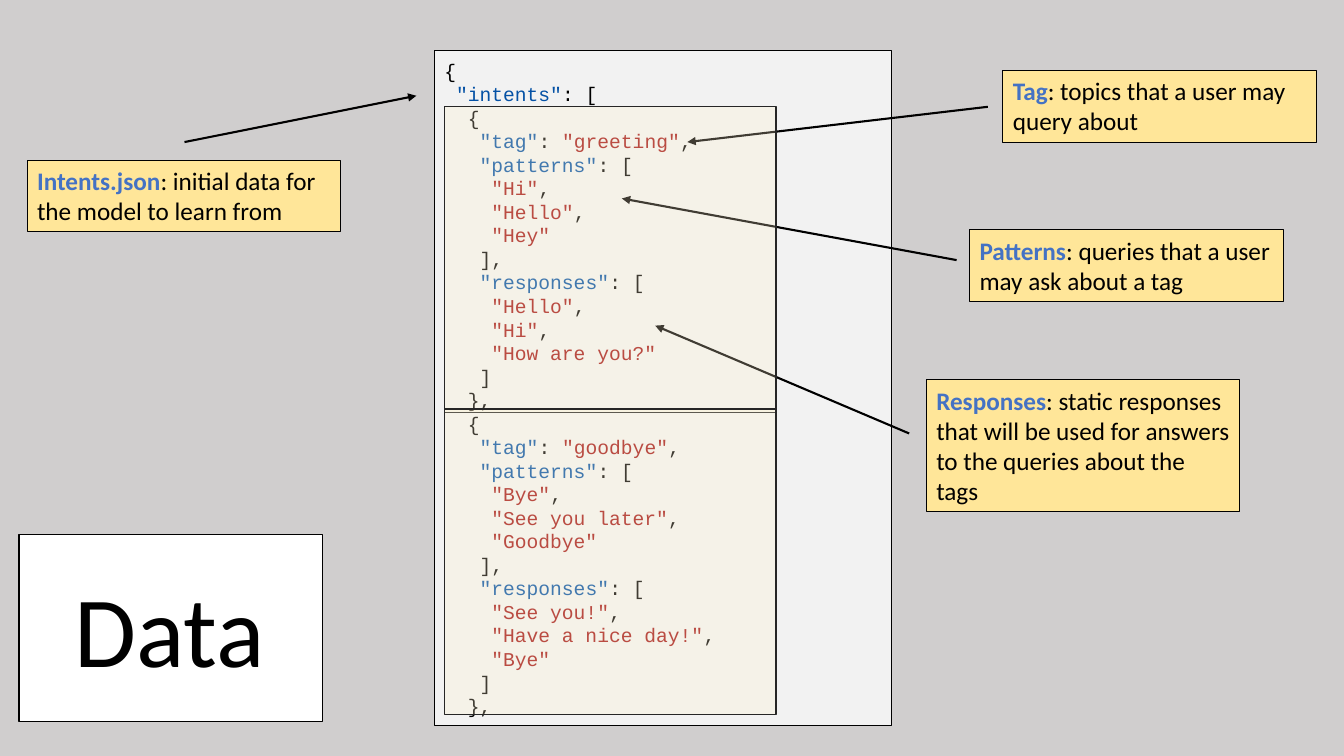
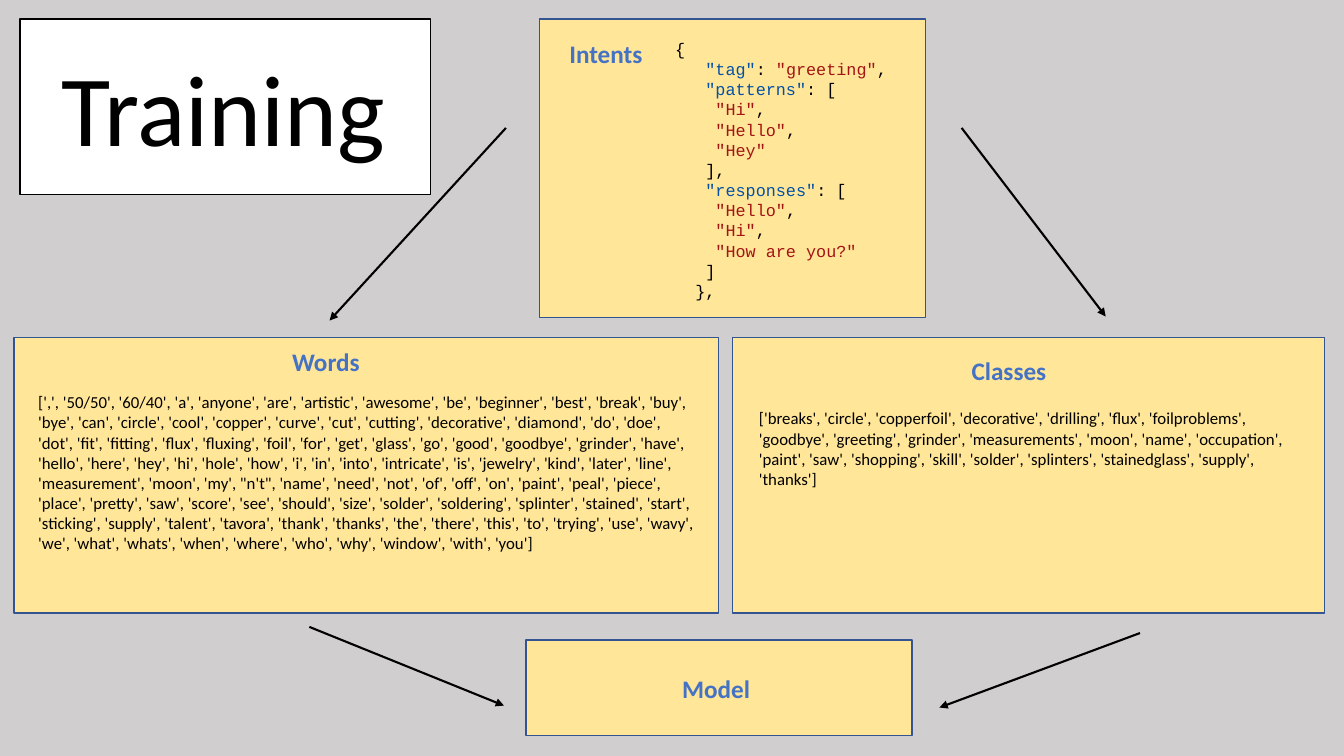
from dataclasses import dataclass

from lxml import etree
from pptx import Presentation
from pptx.dml.color import RGBColor
from pptx.enum import shapes, text
from pptx.oxml import ns
from pptx.util import Pt

BLACK = RGBColor(0x00, 0x00, 0x00)
WHITE = RGBColor(0xFF, 0xFF, 0xFF)
BACKDROP = RGBColor(0xD0, 0xCE, 0xCE)
PAPER = RGBColor(0xF2, 0xF2, 0xF2)
SAND = RGBColor(0xFF, 0xE6, 0x99)
CREAM = RGBColor(0xFF, 0xF2, 0xCC)
CHARCOAL = RGBColor(0x26, 0x26, 0x26)
NAVY = RGBColor(0x32, 0x54, 0x91)
HEADING_BLUE = RGBColor(0x44, 0x72, 0xC4)
KEY_BLUE = RGBColor(0x04, 0x51, 0xA5)
STRING_RED = RGBColor(0xA3, 0x15, 0x15)

TITLE = {"name": "Calibri", "size": Pt(72), "bold": False}
HEADING = {"name": "Calibri", "size": Pt(18), "bold": True}
BODY = {"name": "Calibri", "size": Pt(18), "bold": False}
SMALL = {"name": "Calibri", "size": Pt(12), "bold": False}
CODE_CHAR_WIDTH = 0.6
CODE_LINE_HEIGHT = 1.2
CALLOUT_WIDTH = 223.9


@dataclass(frozen=True)
class Frame:
    left: float
    top: float
    width: float
    height: float

    def lengths(self) -> tuple:
        return Pt(self.left), Pt(self.top), Pt(self.width), Pt(self.height)


@dataclass(frozen=True)
class Arrow:
    x1: float
    y1: float
    x2: float
    y2: float


@dataclass(frozen=True)
class Callout:
    term: str
    meaning: str
    frame: Frame
    arrow: Arrow


@dataclass(frozen=True)
class Label:
    words: str
    frame: Frame


@dataclass(frozen=True)
class CodeLine:
    depth: int
    code: str


@dataclass(frozen=True)
class Intent:
    tag: str
    patterns: list
    responses: list

    def code_lines(self) -> list:
        lines = [CodeLine(2, "{"), CodeLine(3, f'"tag": "{self.tag}",')]
        for key, values, close in (("patterns", self.patterns, "],"),
                                   ("responses", self.responses, "]")):
            lines.append(CodeLine(3, f'"{key}": ['))
            lines += [CodeLine(4, f'"{value}",') for value in values[:-1]]
            lines += [CodeLine(4, f'"{values[-1]}"'), CodeLine(3, close)]
        return lines + [CodeLine(2, "},")]


GREETING = Intent("greeting", ["Hi", "Hello", "Hey"], ["Hello", "Hi", "How are you?"])
GOODBYE = Intent("goodbye", ["Bye", "See you later", "Goodbye"],
                 ["See you!", "Have a nice day!", "Bye"])

CALLOUTS = [
    Callout("Tag", ": topics that a user may query about",
            Frame(716.4, 50.4, CALLOUT_WIDTH, 51.1), Arrow(705.6, 76.3, 491, 101.5)),
    Callout("Patterns", ": queries that a user may ask about a tag",
            Frame(692.6, 164.2, CALLOUT_WIDTH, 51.1), Arrow(683.3, 185.8, 444.2, 141.8)),
    Callout("Responses",
            ": static responses that will be used for answers to the queries about the tags",
            Frame(661.7, 271.4, CALLOUT_WIDTH, 94.3), Arrow(649.4, 309.6, 468, 232.6)),
    Callout("Intents.json", ": initial data for the model to learn from",
            Frame(19.4, 114.5, CALLOUT_WIDTH, 51.1), Arrow(131.8, 101.5, 297.4, 68.4)),
]

STAGE_PANELS = [
    Frame(375.8, 457.2, 275.8, 68.4),
    Frame(385.2, 13.7, 275.8, 213.1),
    Frame(523.4, 241.2, 422.6, 196.6),
    Frame(10.1, 241.2, 503.3, 196.6),
]
STAGE_HEADINGS = [
    Label("Intents", Frame(399.6, 23.8, 67, 28.8)),
    Label("Words", Frame(201.6, 244.1, 63.4, 28.8)),
    Label("Classes", Frame(686.9, 250.6, 68.4, 28.8)),
    Label("Model", Frame(480.2, 477.4, 63.4, 28.8)),
]
STAGE_ARROWS = [
    Arrow(361.4, 91.4, 235.4, 229),
    Arrow(686.9, 91.4, 789.8, 226.1),
    Arrow(221, 447.8, 360, 504),
    Arrow(814.3, 452.2, 671, 505.4),
]

WORDS = """
, 50/50 60/40 a anyone are artistic awesome be beginner best break buy bye can circle cool
copper curve cut cutting decorative diamond do doe dot fit fitting flux fluxing foil for get
glass go good goodbye grinder have hello here hey hi hole how i in into intricate is jewelry
kind later line measurement moon my n't name need not of off on paint peal piece place pretty
saw score see should size solder soldering splinter stained start sticking supply talent tavora
thank thanks the there this to trying use wavy we what whats when where who why window with you
""".split()
CLASSES = """
breaks circle copperfoil decorative drilling flux foilproblems goodbye greeting grinder
measurements moon name occupation paint saw shopping skill solder splinters stainedglass
supply thanks
""".split()
WORD_LISTS = [
    Label(str(WORDS), Frame(20.2, 276.5, 483.8, 123.8)),
    Label(str(CLASSES), Frame(535, 288, 402.5, 65.5)),
]


def add_panel(slide, frame: Frame, fill: RGBColor, line: RGBColor, weight: float = 1):
    panel = slide.shapes.add_shape(shapes.MSO_SHAPE.RECTANGLE, *frame.lengths())
    panel.shadow.inherit = False
    panel.fill.solid()
    panel.fill.fore_color.rgb = fill
    panel.line.color.rgb = line
    panel.line.width = Pt(weight)
    return panel


def add_highlight(slide, frame: Frame) -> None:
    """Lay a see-through panel over part of the code."""
    panel = add_panel(slide, frame, CREAM, CHARCOAL)
    color = panel.fill._xPr.find(ns.qn("a:solidFill"))[0]
    etree.SubElement(color, ns.qn("a:alpha")).set("val", "25000")


def add_arrow(slide, arrow: Arrow) -> None:
    connector = slide.shapes.add_connector(
        shapes.MSO_CONNECTOR.STRAIGHT,
        Pt(arrow.x1), Pt(arrow.y1), Pt(arrow.x2), Pt(arrow.y2))
    connector.line.color.rgb = BLACK
    connector.line.width = Pt(1.5)
    etree.SubElement(connector.line._get_or_add_ln(), ns.qn("a:tailEnd")).set("type", "triangle")
    etree.SubElement(connector._element.spPr, ns.qn("a:effectLst"))


def add_run(paragraph, words: str, style: dict, color: RGBColor) -> None:
    run = paragraph.add_run()
    run.text = words
    for attribute, value in style.items():
        setattr(run.font, attribute, value)
    run.font.color.rgb = color


def add_label(slide, label: Label, style: dict, color: RGBColor, wrap: bool = False) -> None:
    body = slide.shapes.add_textbox(*label.frame.lengths()).text_frame
    body.word_wrap = wrap
    add_run(body.paragraphs[0], label.words, style, color)


def add_title(slide, panel: Frame, title: Label) -> None:
    add_panel(slide, panel, WHITE, BLACK)
    add_label(slide, title, TITLE, BLACK)


def add_callout(slide, callout: Callout) -> None:
    add_arrow(slide, callout.arrow)
    body = add_panel(slide, callout.frame, SAND, BLACK, 0.75).text_frame
    body.word_wrap = True
    body.vertical_anchor = text.MSO_ANCHOR.TOP
    paragraph = body.paragraphs[0]
    paragraph.alignment = text.PP_ALIGN.LEFT
    add_run(paragraph, callout.term, HEADING, HEADING_BLUE)
    add_run(paragraph, callout.meaning, BODY, BLACK)


def write_code(body, lines: list, size: float) -> None:
    """Write JSON lines, indented one character per depth, with keys and strings coloured."""
    style = {"name": "Courier New", "size": Pt(size), "bold": False}
    body.word_wrap = True
    body.vertical_anchor = text.MSO_ANCHOR.MIDDLE
    for number, line in enumerate(lines):
        paragraph = body.add_paragraph() if number else body.paragraphs[0]
        paragraph.alignment = text.PP_ALIGN.LEFT
        paragraph.line_spacing = Pt(size * CODE_LINE_HEIGHT)
        indent = Pt(line.depth * size * CODE_CHAR_WIDTH)
        paragraph._p.get_or_add_pPr().set("marL", str(int(indent)))
        parts = line.code.split('"')
        for place, part in enumerate(parts):
            if place % 2:
                is_key = parts[place + 1].startswith(":")
                add_run(paragraph, f'"{part}"', style, KEY_BLUE if is_key else STRING_RED)
            elif part:
                add_run(paragraph, part, style, BLACK)


def build_data_slide(slide) -> None:
    add_title(slide, Frame(13.7, 381.6, 216.7, 133.9),
              Label("Data", Frame(46.1, 401, 151.9, 94.3)))
    listing = add_panel(slide, Frame(310.3, 36, 326.2, 482.4), PAPER, BLACK, 0.75)
    opening = [CodeLine(0, "{"), CodeLine(1, '"intents": [')]
    write_code(listing.text_frame,
               opening + GREETING.code_lines() + GOODBYE.code_lines(), 14)
    for callout in CALLOUTS:
        add_callout(slide, callout)
    for top in (76.3, 292.3):
        add_highlight(slide, Frame(317.5, top, 236.9, 218.2))


def build_training_slide(slide) -> None:
    add_title(slide, Frame(14.4, 13.7, 293, 125.3),
              Label("Training", Frame(36.7, 28.8, 248.4, 94.3)))
    for frame in STAGE_PANELS:
        add_panel(slide, frame, SAND, NAVY)
    for heading in STAGE_HEADINGS:
        add_label(slide, heading, HEADING, HEADING_BLUE)
    sample = slide.shapes.add_textbox(*Frame(475.2, 23, 177.1, 196.6).lengths())
    write_code(sample.text_frame, [CodeLine(0, "{")] + GREETING.code_lines()[1:], 12)
    for word_list in WORD_LISTS:
        add_label(slide, word_list, SMALL, BLACK, wrap=True)
    for arrow in STAGE_ARROWS:
        add_arrow(slide, arrow)


def main() -> None:
    deck = Presentation()
    deck.slide_width, deck.slide_height = Pt(960), Pt(540)
    backdrop = deck.slide_master.background.fill
    backdrop.solid()
    backdrop.fore_color.rgb = BACKDROP
    blank = deck.slide_layouts[6]
    for build in (build_data_slide, build_training_slide):
        build(deck.slides.add_slide(blank))
    deck.save("out.pptx")


if __name__ == "__main__":
    main()
